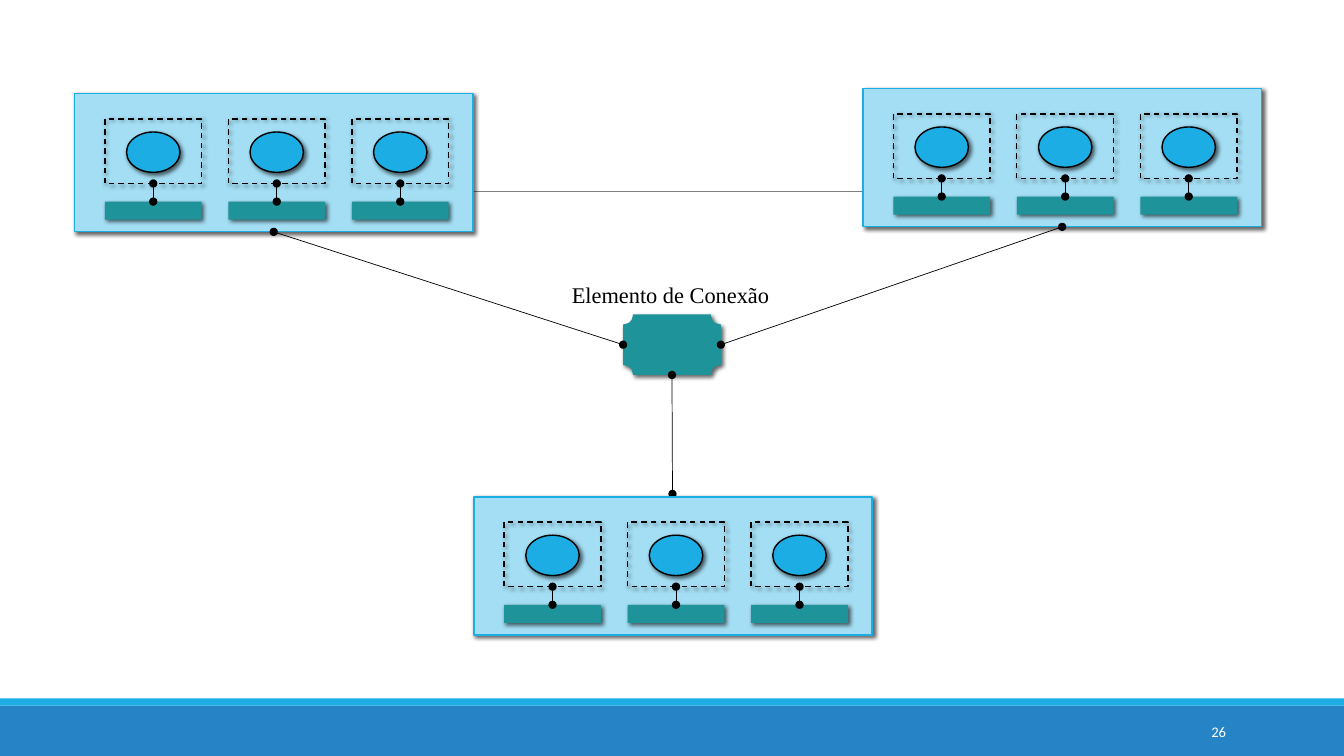
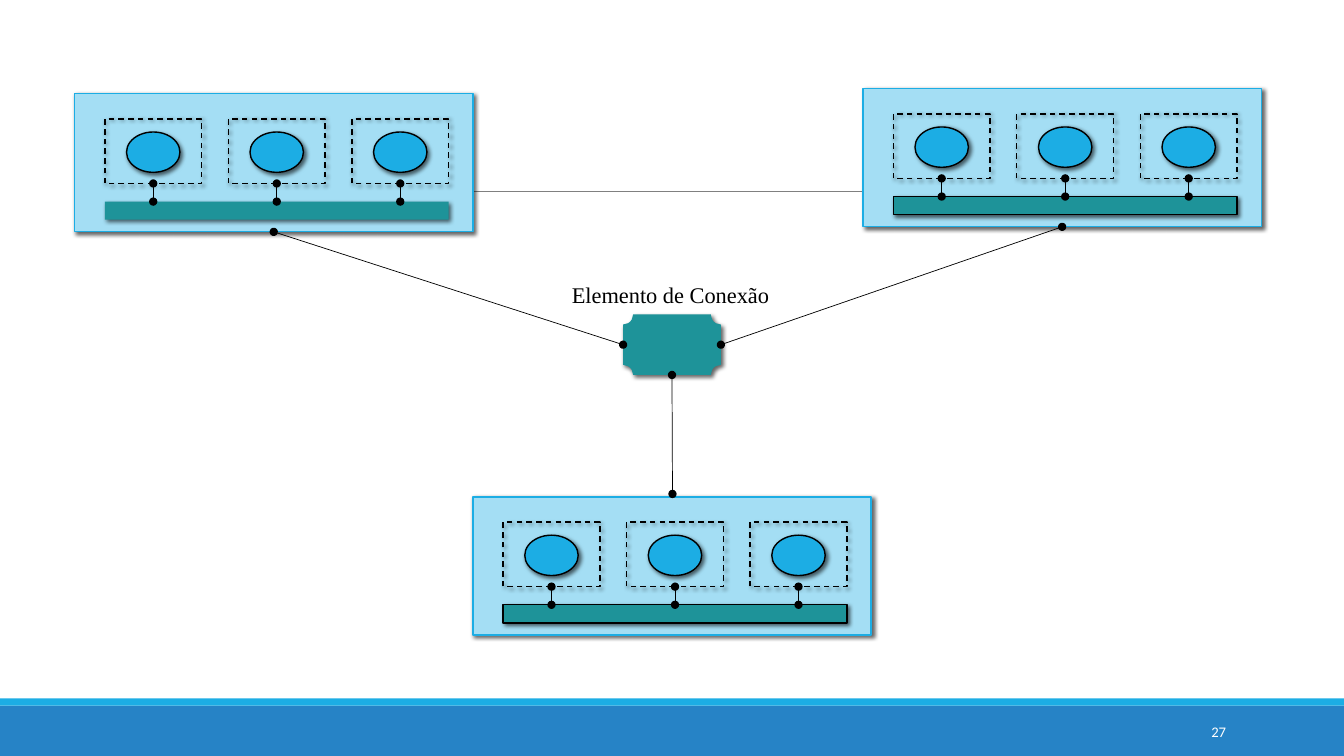
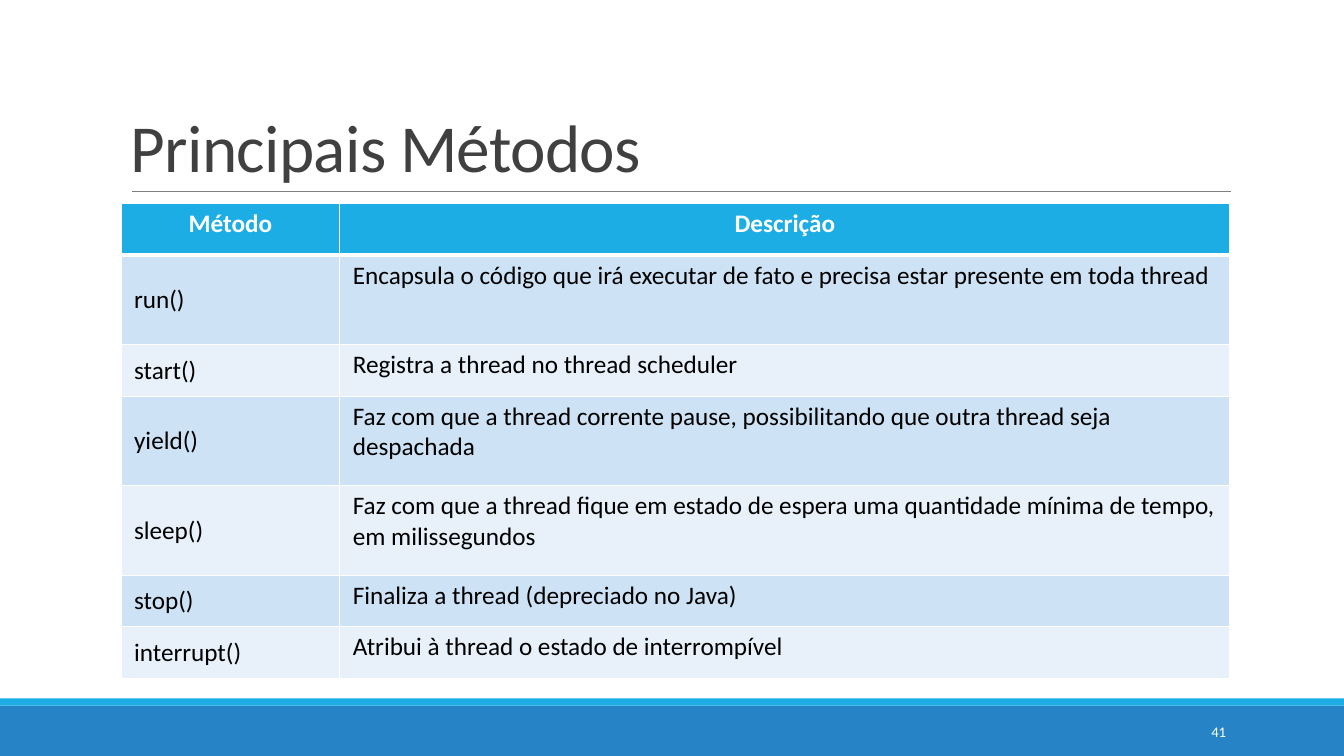
from lxml.etree import SubElement
from pptx import Presentation
from pptx.dml.color import RGBColor
from pptx.enum.dml import MSO_LINE
from pptx.enum.shapes import MSO_CONNECTOR, MSO_SHAPE
from pptx.enum.text import MSO_ANCHOR, MSO_AUTO_SIZE, PP_ALIGN
from pptx.oxml.ns import qn
from pptx.util import Inches, Pt

TOP, LEFT, BOTTOM, RIGHT = range(4)
METHODS = [
    ("Método", "Descrição"),
    ("run()", "Encapsula o código que irá executar de fato e precisa estar presente em toda thread"),
    ("start()", "Registra a thread no thread scheduler"),
    ("yield()", "Faz com que a thread corrente pause, possibilitando que outra thread seja despachada"),
    ("sleep()", "Faz com que a thread fique em estado de espera uma quantidade mínima de tempo, em milissegundos"),
    ("stop()", "Finaliza a thread (depreciado no Java)"),
    ("interrupt()", "Atribui à thread o estado de interrompível"),
]


def color(value):
    """Turn a hex string into a colour."""
    return RGBColor.from_string(value)


class Deck:
    """Hold the shared style and the slide being drawn."""

    black, white, gray, title_color = "000000", "FFFFFF", "808080", "404040"
    blue, dark_blue, pale_blue, teal = "1CADE4", "2683C6", "A4DEF4", "1E9399"
    row_fills = ("E8F1FA", "CDE3F5")
    font, label_font = "Calibri", "Times New Roman"

    def __init__(self):
        """Start an empty widescreen presentation."""
        self.presentation = Presentation()
        self.presentation.slide_width = Inches(13.33)
        self.presentation.slide_height = Inches(7.5)

    def new_slide(self, number):
        """Add a slide with its bands, rule and number."""
        layout = self.presentation.slide_layouts[6]
        self.slide = self.presentation.slides.add_slide(layout)
        self.shapes = self.slide.shapes
        self.shape(MSO_SHAPE.RECTANGLE, 0, 7, 13.33, 0.5, self.dark_blue, shadow=False)
        self.shape(MSO_SHAPE.RECTANGLE, 0, 6.93, 13.33, 0.07, self.blue, shadow=False)
        self.connector((1.31, 1.9), (12.21, 1.9), self.gray, ovals=False)
        self.text(str(number), 10.83, 7.06, 1.43, 0.4, 10.5, self.white,
                  align=PP_ALIGN.RIGHT, anchor=MSO_ANCHOR.MIDDLE)

    def shape(self, kind, left, top, width, height, fill=None, line=None, dashed=False, shadow=True):
        """Add a preset shape, by default with a soft shadow."""
        shape = self.shapes.add_shape(kind, Inches(left), Inches(top), Inches(width), Inches(height))
        if fill:
            shape.fill.solid()
            shape.fill.fore_color.rgb = color(fill)
        else:
            shape.fill.background()
        if line:
            shape.line.color.rgb = color(line)
            shape.line.width = Pt(1)
        else:
            shape.line.fill.background()
        if dashed:
            shape.line.dash_style = MSO_LINE.DASH
        shape.shadow.inherit = False
        if shadow:
            effects = shape._element.spPr.find(qn("a:effectLst"))
            outer = SubElement(effects, qn("a:outerShdw"), blurRad=str(Pt(3)), dist=str(Pt(2)),
                               dir="2700000", algn="tl", rotWithShape="0")
            shadow_color = SubElement(outer, qn("a:srgbClr"), val=self.black)
            SubElement(shadow_color, qn("a:alpha"), val="60000")
        return shape

    def connector(self, start, end, line=black, ovals=True):
        """Join two ends, each a point or a shape with its side."""
        points = [(0, 0) if hasattr(item[0], "shape_id") else item for item in (start, end)]
        connector = self.shapes.add_connector(
            MSO_CONNECTOR.STRAIGHT, *[Inches(value) for point in points for value in point])
        for item, join in ((start, connector.begin_connect), (end, connector.end_connect)):
            if hasattr(item[0], "shape_id"):
                join(*item)
        connector.line.color.rgb = color(line)
        connector.line.width = Pt(0.5)
        properties = connector._element.spPr
        if ovals:
            for tag in ("a:headEnd", "a:tailEnd"):
                SubElement(properties.find(qn("a:ln")), qn(tag), type="oval")
        SubElement(properties, qn("a:effectLst"))

    def run(self, paragraph, text, size, fill, font=font, bold=False):
        """Add one styled run to a paragraph."""
        run = paragraph.add_run()
        run.text = text
        run.font.name = font
        run.font.size = Pt(size)
        run.font.bold = bold
        run.font.color.rgb = color(fill)
        return run

    def text(self, text, left, top, width, height, size, fill, font=font,
             align=PP_ALIGN.LEFT, anchor=MSO_ANCHOR.TOP, wrap=True):
        """Add a text box and return its paragraph and run."""
        box = self.shapes.add_textbox(Inches(left), Inches(top), Inches(width), Inches(height))
        frame = box.text_frame
        frame.word_wrap = wrap
        frame.auto_size = MSO_AUTO_SIZE.NONE if wrap else MSO_AUTO_SIZE.SHAPE_TO_FIT_TEXT
        frame.vertical_anchor = anchor
        paragraph = frame.paragraphs[0]
        paragraph.alignment = align
        return paragraph, self.run(paragraph, text, size, fill, font)

    def title(self, text):
        """Add the slide title above the rule."""
        paragraph, run = self.text(text, 1.2, 0.31, 11, 1.59, 48, self.title_color,
                                   anchor=MSO_ANCHOR.BOTTOM)
        paragraph.line_spacing = 0.85
        run.font._element.set("spc", "-50")

    def machine(self, left, top, shared=False, outline=None):
        """Add a grouped machine with three processes and return its panel."""
        self.shapes = self.slide.shapes.add_group_shape().shapes
        panel = self.shape(MSO_SHAPE.RECTANGLE, left, top, 3.95, 1.37, self.pale_blue, self.blue)
        inner, frame_width, inner_width = left + 0.3, 0.96, 3.41
        step = (inner_width - frame_width) / 2
        frame_top, bar_top = top + 0.25, top + 1.07
        if shared:
            self.shape(MSO_SHAPE.RECTANGLE, inner, bar_top, inner_width, 0.18, self.teal, outline)
        for index in range(3):
            x = inner + index * step
            frame = self.shape(MSO_SHAPE.RECTANGLE, x, frame_top, frame_width, 0.64,
                               line=self.black, dashed=True)
            self.shape(MSO_SHAPE.OVAL, x + (frame_width - 0.53) / 2, frame_top + 0.13,
                       0.53, 0.4, self.blue, self.black)
            end = (x + frame_width / 2, bar_top)
            if not shared:
                end = (self.shape(MSO_SHAPE.RECTANGLE, x, bar_top, frame_width, 0.18, self.teal), TOP)
            self.connector((frame, BOTTOM), end)
        self.shapes = self.slide.shapes
        return panel

    def hub(self, left_panel, right_panel):
        """Add the connecting element and its three links."""
        plaque = self.shape(MSO_SHAPE.PLAQUE, 6.18, 3.12, 0.97, 0.6, self.teal)
        self.connector((left_panel, BOTTOM), (plaque, LEFT))
        self.connector((right_panel, BOTTOM), (plaque, RIGHT))
        self.connector((plaque, BOTTOM), (6.67, 4.9))
        self.text("Elemento de Conexão", 5.44, 2.74, 2.42, 0.37, 16, self.black,
                  self.label_font, PP_ALIGN.CENTER, wrap=False)

    def border(self, cell, side, width):
        """Draw one white border of a cell."""
        line = SubElement(cell._tc.get_or_add_tcPr(), qn("a:ln" + side), w=str(Pt(width)))
        SubElement(SubElement(line, qn("a:solidFill")), qn("a:srgbClr"), val=self.white)

    def table(self, rows, left, top, widths, heights):
        """Add a table with a header row and banded body rows."""
        table = self.shapes.add_table(len(rows), len(widths), Inches(left), Inches(top),
                                      Inches(sum(widths)), Inches(sum(heights))).table
        for column, width in zip(table.columns, widths):
            column.width = Inches(width)
        for row, height in zip(table.rows, heights):
            row.height = Inches(height)
        for row_index, row in enumerate(rows):
            header = row_index == 0
            for column_index, text in enumerate(row):
                cell = table.cell(row_index, column_index)
                cell.margin_left = cell.margin_right = Inches(0.13)
                cell.margin_top = cell.margin_bottom = Inches(0.05)
                middle = column_index == 0 and not header
                cell.vertical_anchor = MSO_ANCHOR.MIDDLE if middle else MSO_ANCHOR.TOP
                for side, width in (("L", 1), ("R", 1), ("T", 3 if row_index == 1 else 1),
                                    ("B", 3 if header else 1)):
                    self.border(cell, side, width)
                cell.fill.solid()
                cell.fill.fore_color.rgb = color(self.blue if header else self.row_fills[row_index % 2])
                paragraph = cell.text_frame.paragraphs[0]
                paragraph.alignment = PP_ALIGN.CENTER if header else PP_ALIGN.LEFT
                self.run(paragraph, text, 18, self.white if header else self.black, bold=header)


def main():
    """Build and save the three slides."""
    deck = Deck()

    deck.new_slide(26)
    left_panel = deck.machine(0.74, 0.93)
    right_panel = deck.machine(8.56, 0.88)
    deck.hub(left_panel, right_panel)
    deck.machine(4.7, 4.93)

    deck.new_slide(27)
    deck.machine(4.69, 4.93, shared=True, outline=deck.black)
    left_panel = deck.machine(0.74, 0.93, shared=True)
    right_panel = deck.machine(8.56, 0.88, shared=True, outline=deck.black)
    deck.hub(left_panel, right_panel)

    deck.new_slide(41)
    deck.title("Principais Métodos")
    deck.table(METHODS, 1.2, 2.02, (2.17, 8.83), (0.51, 0.89, 0.51, 0.89, 0.89, 0.51, 0.51))

    deck.presentation.save("out.pptx")


if __name__ == "__main__":
    main()
